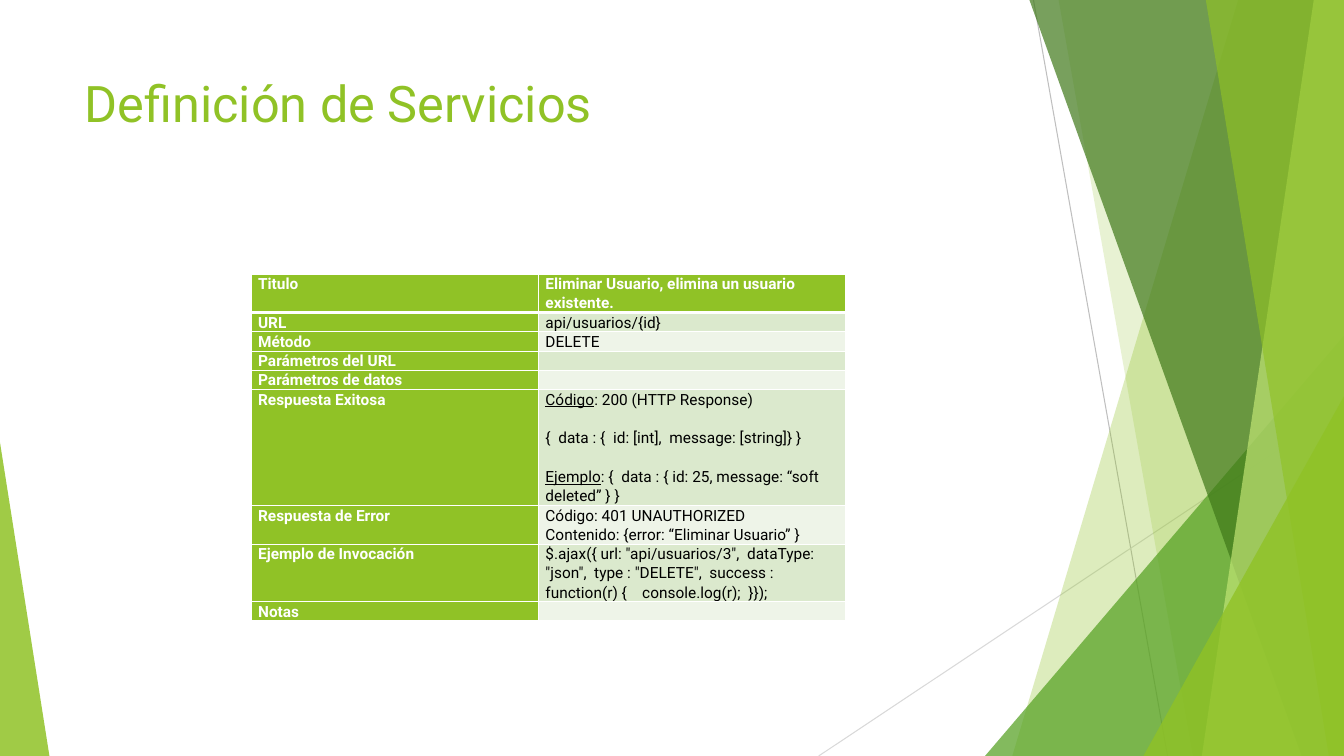
from dataclasses import dataclass
from lxml.etree import SubElement
from pptx import Presentation
from pptx.dml.color import RGBColor
from pptx.enum.shapes import MSO_CONNECTOR, MSO_SHAPE
from pptx.enum.text import MSO_ANCHOR, PP_ALIGN
from pptx.oxml.ns import qn
from pptx.util import Inches, Pt


@dataclass(frozen=True)
class Theme:
    font: str = "Roboto"
    title_size: int = 36
    table_size: int = 11
    line_spacing: float = 1.07
    blank_line: int = 14
    lime: str = "90C226"
    green: str = "54A021"
    forest: str = "3F7819"
    pale_lime: str = "C0E474"
    gray: str = "BFBFBF"
    light_gray: str = "D9D9D9"
    white: str = "FFFFFF"
    black: str = "000000"
    bands: tuple = ("EEF4E8", "DBE9CD")


THEME = Theme()
WIDTH, HEIGHT = 13.33, 7.5
LINE_HEIGHT = 0.19

# Each row: label, lines of text that it takes, paragraphs.
# A paragraph is (underlined lead, text, gap before it).
SERVICE = [
    ("Titulo", 2, [("", "Eliminar Usuario, elimina un usuario existente.", False)]),
    ("URL", 1, [("", "api/usuarios/{id}", False)]),
    ("Método", 1, [("", "DELETE", False)]),
    ("Parámetros del URL", 1, [("", "", False)]),
    ("Parámetros de datos", 1, [("", "", False)]),
    ("Respuesta Exitosa", 6, [
        ("Código", ": 200 (HTTP Response)", False),
        ("", "{  data : {  id: [int],  message: [string]} }", True),
        ("Ejemplo", ": {  data : { id: 25, message: “soft deleted” } }", True),
    ]),
    ("Respuesta de Error", 2, [
        ("", "Código: 401 UNAUTHORIZED", False),
        ("", "Contenido: {error: “Eliminar Usuario” }", False),
    ]),
    ("Ejemplo de Invocación", 3, [
        ("", '$.ajax({ url: "api/usuarios/3",  dataType: "json",  type : "DELETE",  '
             'success : function(r) {    console.log(r);  }});', False),
    ]),
    ("Notas", 1, [("", "", False)]),
]


def rgb(color):
    return RGBColor.from_string(color)


def format_run(run, size, color, bold=False, underline=False):
    run.font.name = THEME.font
    run.font.size = Pt(size)
    run.font.color.rgb = rgb(color)
    run.font.bold = bold
    run.font.underline = underline


# Decoration
def paint(shape, color, opacity):
    shape.shadow.inherit = False
    shape.fill.solid()
    shape.fill.fore_color.rgb = rgb(color)
    shape.line.fill.background()
    color_xml = shape.fill._xPr.find(qn("a:solidFill"))[0]
    SubElement(color_xml, qn("a:alpha")).set("val", str(opacity * 1000))


def add_ray(slide, start, end, color):
    ray = slide.shapes.add_connector(
        MSO_CONNECTOR.STRAIGHT, *(Inches(v) for v in (*start, *end)))
    ray.line.color.rgb = rgb(color)
    ray.line.width = Pt(0.75)
    SubElement(ray._element.spPr, qn("a:effectLst"))


def add_panel(slide, top_x, bottom_x, color, opacity):
    """Full-height panel from a slanted left side to the slide's right edge."""
    corners = [(top_x, 0), (WIDTH, 0), (WIDTH, HEIGHT), (bottom_x, HEIGHT)]
    points = [(Inches(x), Inches(y)) for x, y in corners]
    outline = slide.shapes.build_freeform(*points[0], scale=1.0)
    outline.add_line_segments(points[1:], close=True)
    paint(outline.convert_to_shape(), color, opacity)


def add_corner(slide, left, top, width, apex, color, opacity):
    """Triangle that stands on the slide's bottom edge."""
    corner = slide.shapes.add_shape(
        MSO_SHAPE.ISOSCELES_TRIANGLE, Inches(left), Inches(top),
        Inches(width), Inches(HEIGHT - top))
    corner.adjustments[0] = apex
    paint(corner, color, opacity)


def add_decoration(slide):
    add_ray(slide, (10.25, 0), (11.58, HEIGHT), THEME.gray)
    add_ray(slide, (WIDTH, 4.03), (8.12, HEIGHT), THEME.light_gray)
    add_panel(slide, 12.28, 10.04, THEME.lime, 30)
    add_panel(slide, 10.5, 11.83, THEME.lime, 20)
    add_corner(slide, 9.77, 3.33, 3.56, 1, THEME.green, 72)
    add_panel(slide, 10.21, 12.91, THEME.forest, 70)
    add_panel(slide, 13.03, 11.92, THEME.pale_lime, 70)
    add_panel(slide, 11.96, 13.18, THEME.lime, 65)
    add_corner(slide, 11.34, 3.93, 1.99, 1, THEME.lime, 80)
    add_corner(slide, 0, 4.39, 0.49, 0, THEME.lime, 85)


# Title
def add_title(slide, left, top, width, height):
    title = slide.shapes.title
    title.left, title.top = Inches(left), Inches(top)
    title.width, title.height = Inches(width), Inches(height)
    title.text_frame.text = "Definición de Servicios"
    title.text_frame.vertical_anchor = MSO_ANCHOR.TOP
    heading = title.text_frame.paragraphs[0]
    heading.alignment = PP_ALIGN.LEFT
    format_run(heading.runs[0], THEME.title_size, THEME.lime)


# Service table
def set_borders(cell, bottom_width):
    properties = cell._tc.get_or_add_tcPr()
    widths = {"a:lnL": 1, "a:lnR": 1, "a:lnT": 1, "a:lnB": bottom_width}
    for position, (side, width) in enumerate(widths.items()):
        border = properties.makeelement(qn(side), {"w": str(Pt(width))})
        fill = SubElement(border, qn("a:solidFill"))
        SubElement(fill, qn("a:srgbClr")).set("val", THEME.white)
        properties.insert(position, border)


def fill_cell(cell, paragraphs, background, color, bold, bottom_width):
    cell.margin_left = cell.margin_right = Inches(0.07)
    cell.margin_top = cell.margin_bottom = 0
    cell.fill.solid()
    cell.fill.fore_color.rgb = rgb(background)
    set_borders(cell, bottom_width)
    frame = cell.text_frame
    frame.text = "\n".join(lead + text for lead, text, _ in paragraphs)
    for paragraph, (lead, text, gap) in zip(frame.paragraphs, paragraphs):
        paragraph.line_spacing = THEME.line_spacing
        if gap:
            paragraph.space_before = Pt(THEME.blank_line)
        if lead:
            paragraph.runs[0].text = lead
            paragraph.add_run().text = text
        for run in paragraph.runs:
            format_run(run, THEME.table_size, color, bold, run.text == lead)
        if not paragraph.runs:  # keeps an empty row as low as a line of text
            end = SubElement(paragraph._p, qn("a:endParaRPr"))
            end.set("sz", str(THEME.table_size * 100))
            SubElement(end, qn("a:latin")).set("typeface", THEME.font)


def add_service_table(slide, left, top, label_width, value_width):
    line_count = sum(lines for _, lines, _ in SERVICE)
    table = slide.shapes.add_table(
        len(SERVICE), 2, Inches(left), Inches(top),
        Inches(label_width + value_width), Inches(line_count * LINE_HEIGHT)).table
    table.columns[0].width = Inches(label_width)
    table.columns[1].width = Inches(value_width)
    for index, (label, lines, value) in enumerate(SERVICE):
        table.rows[index].height = Inches(lines * LINE_HEIGHT)
        header = index == 0
        bottom = 3 if header else 1
        fill_cell(table.cell(index, 0), [("", label, False)],
                  THEME.lime, THEME.white, True, bottom)
        fill_cell(table.cell(index, 1), value,
                  THEME.lime if header else THEME.bands[index % 2],
                  THEME.white if header else THEME.black, header, bottom)


def main():
    deck = Presentation()
    deck.slide_width, deck.slide_height = Inches(WIDTH), Inches(HEIGHT)
    slide = deck.slides.add_slide(deck.slide_layouts[5])
    add_decoration(slide)
    add_title(slide, 0.74, 0.67, 9.4, 1.44)
    add_service_table(slide, 2.49, 2.72, 2.85, 3.05)
    deck.save("out.pptx")


if __name__ == "__main__":
    main()
